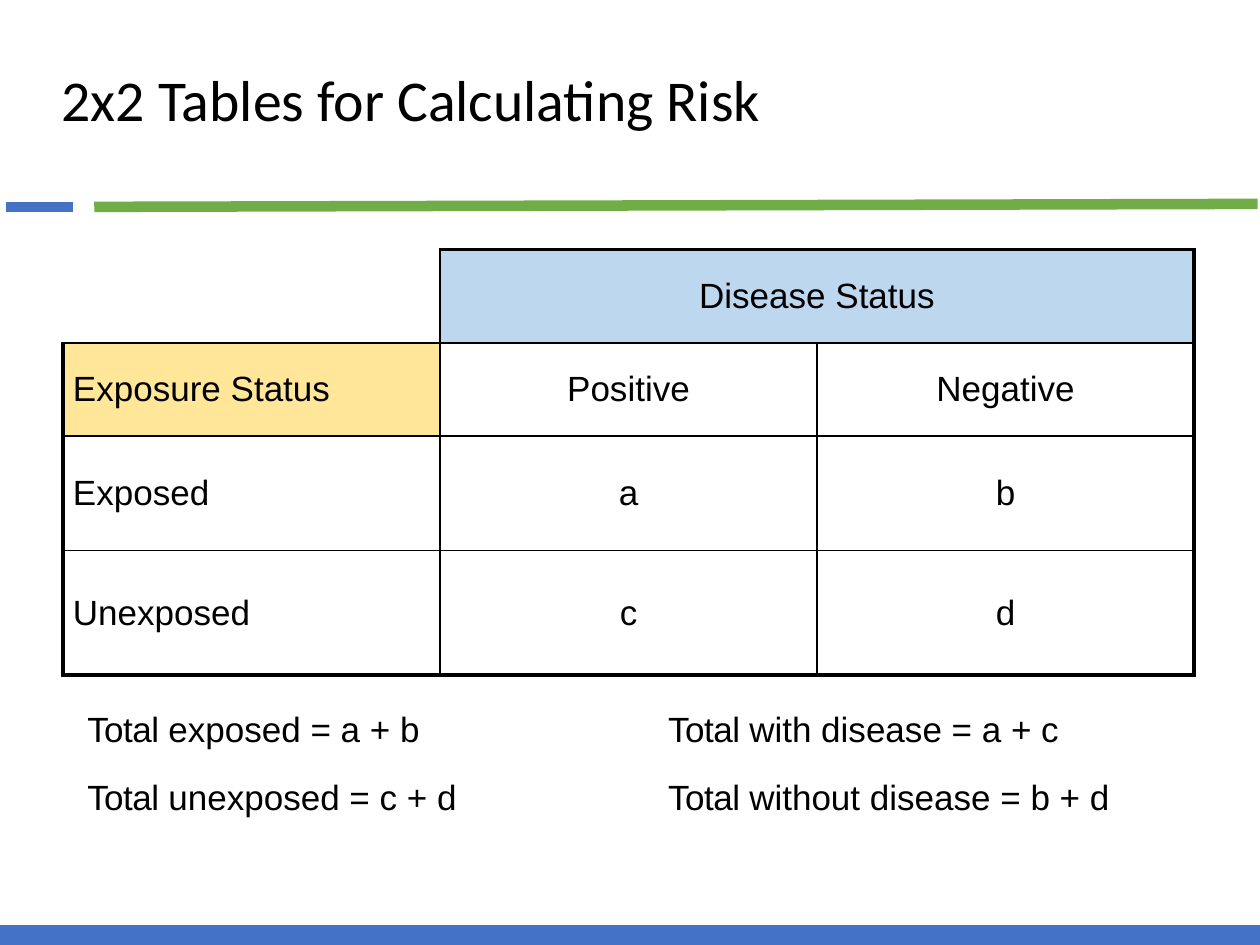
from dataclasses import dataclass

from lxml import etree
from pptx import Presentation
from pptx.dml.color import RGBColor
from pptx.enum.shapes import MSO_CONNECTOR
from pptx.enum.text import MSO_ANCHOR, MSO_AUTO_SIZE, PP_ALIGN
from pptx.oxml.ns import qn
from pptx.util import Cm, Pt

STRAIGHT = MSO_CONNECTOR.STRAIGHT
MIDDLE = MSO_ANCHOR.MIDDLE
LEFT, CENTER = PP_ALIGN.LEFT, PP_ALIGN.CENTER
NO_AUTOFIT, GROW = MSO_AUTO_SIZE.NONE, MSO_AUTO_SIZE.SHAPE_TO_FIT_TEXT

COLORS = {
    "text": "000000",
    "border": "000000",
    "blue": "4472C4",
    "green": "70AD47",
    "disease": "BDD7EE",
    "exposure": "FFE699",
}
THICK, THIN = 2.25, 1


@dataclass
class Rule:
    start: tuple[float, float]
    end: tuple[float, float]
    color: str
    weight: float


@dataclass
class TableRow:
    height: float
    space_before: float
    texts: tuple[str, str, str]


@dataclass
class TotalsBox:
    left: float
    width: float
    endings: tuple[str, str]


RULES = [
    Rule((25.35, 4.11), (1.9, 4.17), "green", 6),
    Rule((1.47, 4.17), (0.13, 4.17), "blue", 6),
    Rule((25.4, 18.85), (0, 18.85), "blue", 12),
]
ROWS = [
    TableRow(1.88, 9.7, ("", "Disease Status", "")),
    TableRow(1.88, 10.2, ("Exposure Status", "Positive", "Negative")),
    TableRow(2.31, 16.2, ("Exposed", "a", "b")),
    TableRow(2.51, 19.2, ("Unexposed", "c", "d")),
]
COLUMN_WIDTH, COLUMN_COUNT = 7.6, 3
CELL_FILLS = {(0, 1): "disease", (1, 0): "exposure"}
TOTALS = [
    TotalsBox(13.44, 9.88, ("with disease = a + c", "without disease = b + d")),
    TotalsBox(1.73, 8.23, ("exposed = a + b", "unexposed = c + d")),
]


def rgb(name: str) -> RGBColor:
    return RGBColor.from_string(COLORS[name])


def format_font(font, name: str, size: float) -> None:
    font.name, font.size, font.bold = name, Pt(size), False
    font.color.rgb = rgb("text")


def clear_margins(target) -> None:
    target.margin_left = target.margin_right = 0
    target.margin_top = target.margin_bottom = 0


def indent(para, length: float) -> None:
    properties = para._p.get_or_add_pPr()
    properties.set("marL", str(Cm(length)))
    properties.set("indent", "0")


def draw_rule(slide, rule: Rule) -> None:
    points = (Cm(value) for value in (*rule.start, *rule.end))
    line = slide.shapes.add_connector(STRAIGHT, *points)
    line.line.color.rgb = rgb(rule.color)
    line.line.width = Pt(rule.weight)
    etree.SubElement(line._element.spPr, qn("a:effectLst"))


def draw_title(slide) -> None:
    title = slide.shapes.title
    title.left, title.top, title.width, title.height = Cm(0.99), Cm(0.53), Cm(24.89), Cm(3.07)
    frame = title.text_frame
    frame.text = "2x2 Tables for Calculating Risk"
    frame.auto_size = NO_AUTOFIT
    frame.vertical_anchor = MIDDLE
    para = frame.paragraphs[0]
    para.alignment, para.line_spacing = LEFT, 0.9
    format_font(para.runs[0].font, "Calibri", 33)


def cell_borders(row: int, column: int) -> dict[str, float]:
    """Thick around the table, thin inside, open around the empty corner."""
    corner = (row, column) == (0, 0)
    outer = 0 if corner else THICK
    return {
        "a:lnL": outer if column == 0 else THIN,
        "a:lnR": THICK if column == COLUMN_COUNT - 1 or (row, column) == (0, 1) else THIN,
        "a:lnT": outer if row == 0 else THIN,
        "a:lnB": THICK if row == len(ROWS) - 1 else THIN,
    }


def draw_borders(cell, borders: dict[str, float]) -> None:
    properties = cell._tc.get_or_add_tcPr()
    for tag, weight in borders.items():
        line = etree.SubElement(properties, qn(tag), w=str(Pt(weight)))
        if weight:
            fill = etree.SubElement(line, qn("a:solidFill"))
            etree.SubElement(fill, qn("a:srgbClr"), val=COLORS["border"])
        else:
            etree.SubElement(line, qn("a:noFill"))


def fill_cell(cell, color: str | None) -> None:
    if color:
        cell.fill.solid()
        cell.fill.fore_color.rgb = rgb(color)
    else:
        cell.fill.background()


def draw_table(slide) -> None:
    frame = slide.shapes.add_table(
        len(ROWS), COLUMN_COUNT, Cm(1.27), Cm(5.03),
        Cm(COLUMN_WIDTH * COLUMN_COUNT), Cm(sum(row.height for row in ROWS)))
    table = frame.table
    table.first_row = table.horz_banding = False
    for column in table.columns:
        column.width = Cm(COLUMN_WIDTH)
    for row_index, row in enumerate(ROWS):
        table.rows[row_index].height = Cm(row.height)
        for column_index, text in enumerate(row.texts):
            cell = table.cell(row_index, column_index)
            draw_borders(cell, cell_borders(row_index, column_index))
            fill_cell(cell, CELL_FILLS.get((row_index, column_index)))
            if not text:
                continue
            clear_margins(cell)
            cell.vertical_anchor = MIDDLE
            para = cell.text_frame.paragraphs[0]
            para.text = text
            para.space_before = Pt(row.space_before)
            para.alignment = CENTER if column_index else LEFT
            if column_index == 0:
                indent(para, 0.2)
            format_font(para.runs[0].font, "Arial", 20)
    table.cell(0, 1).merge(table.cell(0, 2))


def draw_totals(slide, totals: TotalsBox) -> None:
    box = slide.shapes.add_textbox(Cm(totals.left), Cm(14.27), Cm(totals.width), Cm(2.21))
    frame = box.text_frame
    clear_margins(frame)
    frame.word_wrap = True
    frame.auto_size = GROW
    for index, ending in enumerate(totals.endings):
        para = frame.add_paragraph() if index else frame.paragraphs[0]
        para.space_before = Pt(14.4 * index)
        indent(para, 0.03)
        for text, spacing in (("Total ", "-30"), (ending, "0")):
            span = para.add_run()
            span.text = text
            format_font(span.font, "Arial", 20)
            span._r.get_or_add_rPr().set("spc", spacing)


def main() -> None:
    deck = Presentation()
    deck.slide_width, deck.slide_height = Cm(25.4), Cm(19.05)
    page = deck.slides.add_slide(deck.slide_layouts[5])
    for rule in RULES:
        draw_rule(page, rule)
    draw_title(page)
    draw_table(page)
    for totals in TOTALS:
        draw_totals(page, totals)
    deck.save("out.pptx")


if __name__ == "__main__":
    main()
